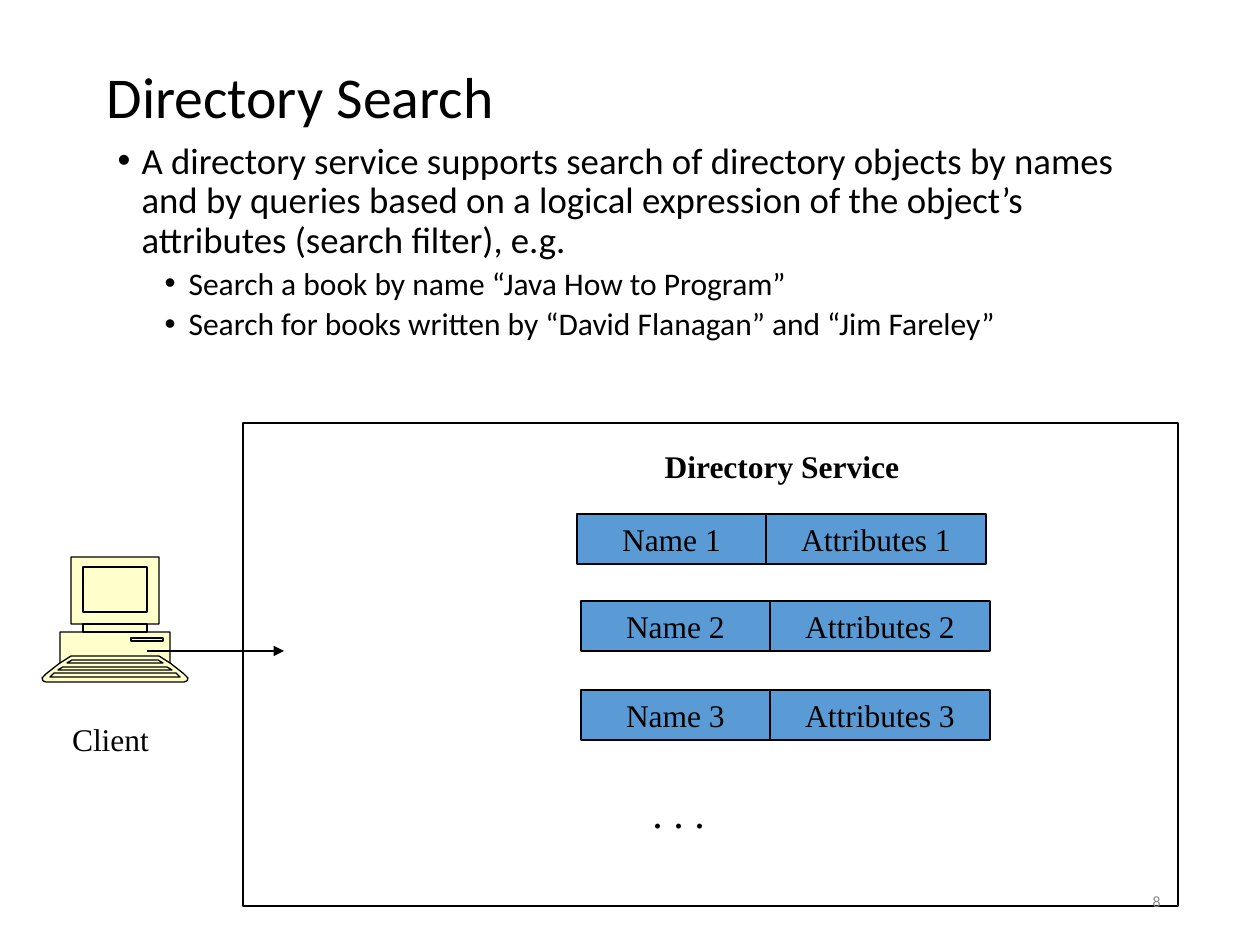
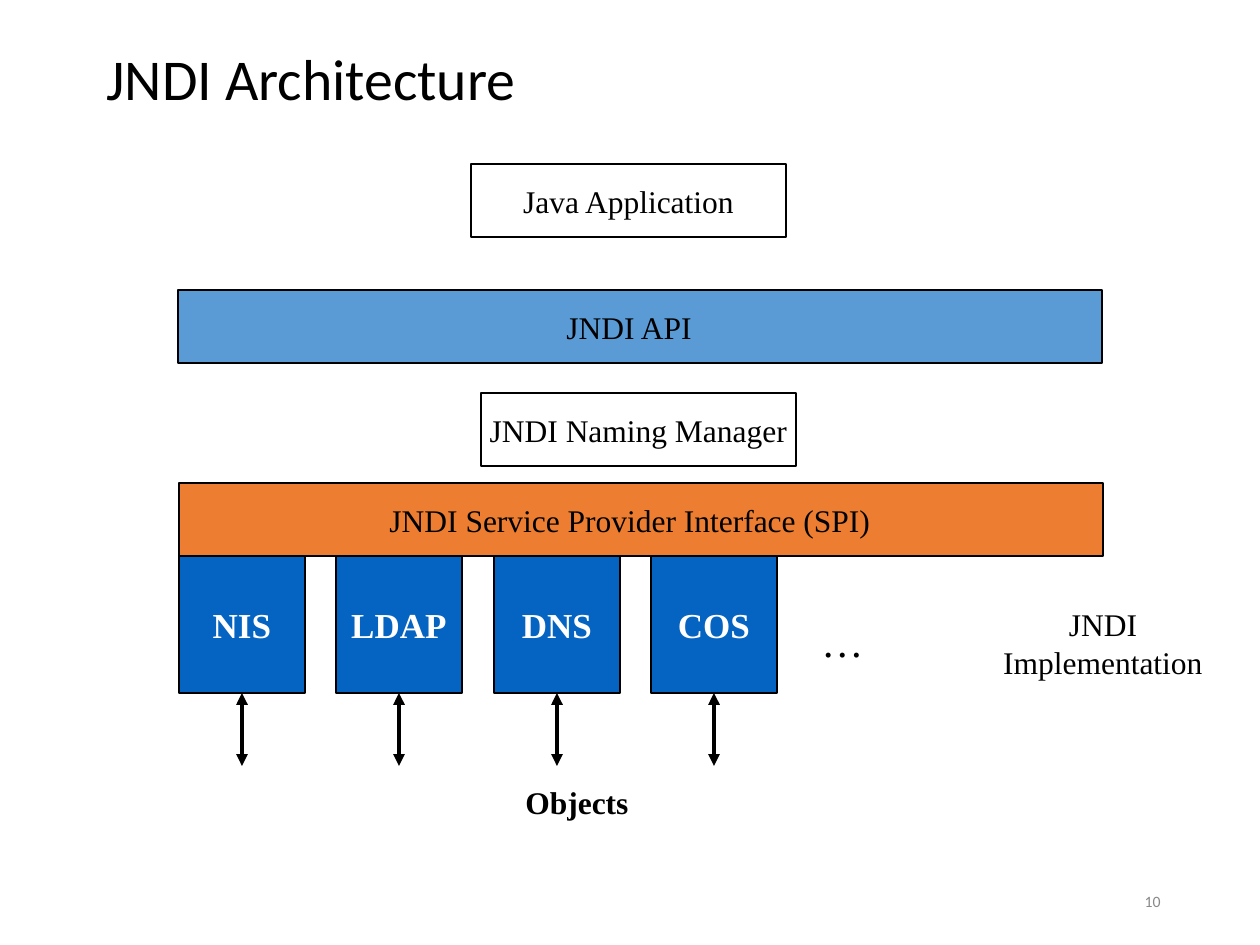
import lxml.etree
import pptx
import pptx.dml.color
import pptx.enum.shapes
import pptx.enum.text
import pptx.oxml.ns
import pptx.util

EMU_PER_PX = 914400 / 126
BLACK, WHITE, GREY = "000000", "FFFFFF", "898989"
BLUE, DARK_BLUE, ORANGE, CREAM = "5B9BD5", "0563C1", "ED7D31", "FFFFCC"
SANS, SERIF = "Calibri", "Times New Roman"
LEFT, CENTER, RIGHT = (pptx.enum.text.PP_ALIGN.LEFT, pptx.enum.text.PP_ALIGN.CENTER,
                       pptx.enum.text.PP_ALIGN.RIGHT)
TOP, MIDDLE = pptx.enum.text.MSO_ANCHOR.TOP, pptx.enum.text.MSO_ANCHOR.MIDDLE
RECTANGLE = pptx.enum.shapes.MSO_SHAPE.RECTANGLE
CLIENT_AXIS = 115


def px(length):
    """Turn pixels into EMU."""
    return pptx.util.Emu(round(length * EMU_PER_PX))


def rgb(color):
    """Turn a hex string into a colour."""
    return pptx.dml.color.RGBColor.from_string(color)


def format_runs(paragraph, size, font, color=BLACK, bold=False):
    """Set the font of every run in a paragraph."""
    for run in paragraph.runs:
        run.font.size = pptx.util.Pt(size)
        run.font.name = font
        run.font.bold = bold
        run.font.color.rgb = rgb(color)


def write(frame, text, size, font=SERIF, color=BLACK, bold=False, align=CENTER, anchor=TOP):
    """Write one wrapped paragraph into a text frame."""
    frame.text = text
    frame.word_wrap = True
    frame.auto_size = pptx.enum.text.MSO_AUTO_SIZE.NONE
    frame.vertical_anchor = anchor
    paragraph = frame.paragraphs[0]
    paragraph.alignment = align
    format_runs(paragraph, size, font, color, bold)
    return paragraph


def place(shape, left, top, width, height):
    """Move and size a shape."""
    shape.left, shape.top, shape.width, shape.height = map(px, (left, top, width, height))


def paint(shape, fill, line_width=1):
    """Give a shape a flat fill and a black outline."""
    shape.shadow.inherit = False
    shape.fill.solid()
    shape.fill.fore_color.rgb = rgb(fill)
    shape.line.color.rgb = rgb(BLACK)
    shape.line.width = pptx.util.Pt(line_width)


def add_box(slide, bounds, fill, text="", size=18, color=BLACK, bold=False, right_inset=0):
    """Add an outlined rectangle with a centred caption."""
    box = slide.shapes.add_shape(RECTANGLE, *map(px, bounds))
    paint(box, fill)
    if text:
        frame = box.text_frame
        write(frame, text, size, color=color, bold=bold, anchor=MIDDLE)
        frame.margin_left = frame.margin_top = frame.margin_bottom = 0
        frame.margin_right = px(right_inset)
    return box


def add_label(slide, bounds, text, size=18, **style):
    """Add a free-standing caption."""
    label = slide.shapes.add_textbox(*map(px, bounds))
    write(label.text_frame, text, size, **style)


def add_arrow(slide, start, end, width, ends=("tailEnd",)):
    """Add a straight black line with triangular heads."""
    arrow = slide.shapes.add_connector(pptx.enum.shapes.MSO_CONNECTOR.STRAIGHT,
                                       *map(px, start + end))
    arrow.line.color.rgb = rgb(BLACK)
    arrow.line.width = pptx.util.Pt(width)
    outline = arrow.line._get_or_add_ln()
    for end_tag in ends:
        lxml.etree.SubElement(outline, pptx.oxml.ns.qn("a:" + end_tag), type="triangle")
    lxml.etree.SubElement(arrow._element.spPr, pptx.oxml.ns.qn("a:effectLst"))
    return arrow


def add_page(deck, layout_index, title, title_top, number):
    """Add a slide with its title and page number."""
    slide = deck.slides.add_slide(deck.slide_layouts[layout_index])
    place(slide.shapes.title, 94, title_top, 1081, 94)
    heading = write(slide.shapes.title.text_frame, title, 33, SANS, align=LEFT, anchor=MIDDLE)
    heading.line_spacing = 0.9
    add_label(slide, (890, 876, 283, 50), number, 9, font=SANS, color=GREY,
              align=RIGHT, anchor=MIDDLE)
    return slide


def fill_bullets(body, bullets):
    """Write (level, text) bullets into the body placeholder."""
    frame = body.text_frame
    frame.text = "\n".join(text for _, text in bullets)
    frame.auto_size = pptx.enum.text.MSO_AUTO_SIZE.NONE
    frame.vertical_anchor = TOP
    for index, (paragraph, (level, _)) in enumerate(zip(frame.paragraphs, bullets)):
        properties = paragraph._p.get_or_add_pPr()
        properties.set("marL", str(px((24, 71)[level])))
        properties.set("indent", str(px(-24)))
        lxml.etree.SubElement(properties, pptx.oxml.ns.qn("a:buChar"), char="•")
        paragraph.level = level
        paragraph.alignment = LEFT
        paragraph.line_spacing = 0.9
        paragraph.space_before = pptx.util.Pt((7.5, 3.7)[level] if index else 0)
        format_runs(paragraph, (21, 18)[level], SANS)


def add_symmetric_part(slide, left_half, close=True):
    """Draw a computer part from its left half, mirrored on the client axis."""
    right_half = [(2 * CLIENT_AXIS - x, y) for x, y in reversed(left_half)]
    builder = slide.shapes.build_freeform(*left_half[0], scale=EMU_PER_PX)
    builder.add_line_segments(left_half[1:] + right_half, close=close)
    paint(builder.convert_to_shape(), CREAM, 0.75)


def add_client_computer(slide):
    """Draw the client computer: case, screen, neck, keyboard and drive slot."""
    case = [(71, 557), (71, 624), (83, 624), (83, 632), (60, 632), (60, 663),
            (46, 674), (42, 678), (43, 681), (46, 682)]
    screen = [(83, 567), (83, 612)]
    neck = [(83, 624), (83, 632)]
    key_rows = [[(72, 660), (67, 663)], [(63, 667), (58, 670)], [(54, 673), (50, 677)]]
    add_symmetric_part(slide, case)
    add_symmetric_part(slide, [(60, 663), (71, 656)], close=False)
    for part in [screen, neck] + key_rows:
        add_symmetric_part(slide, part)
    paint(slide.shapes.add_shape(RECTANGLE, *map(px, (131, 638, 32, 3))), CREAM, 0.75)


def build_directory_search(deck):
    """Build the slide on searching a directory."""
    slide = add_page(deck, 1, "Directory Search", 53, "8")
    body = slide.placeholders[1]
    place(body, 105, 136, 1071, 305)
    fill_bullets(body, [
        (0, "A directory service supports search of directory objects by names and by queries "
            "based on a logical expression of the object’s attributes (search filter), e.g."),
        (1, "Search a book by name “Java How to Program”"),
        (1, "Search for books written by “David Flanagan” and “Jim Fareley”"),
    ])
    service = add_box(slide, (243, 423, 935, 483), WHITE)
    slide.shapes._spTree.insert(2, service._element)
    add_label(slide, (609, 441, 346, 50), "Directory Service", bold=True)
    for entry, (left, top) in enumerate([(577, 514), (581, 601), (581, 690)], 1):
        add_box(slide, (left, top, 189, 50), BLUE, f"Name {entry}")
        add_box(slide, (left + 189, top, 220, 50), BLUE, f"Attributes {entry}")
    add_label(slide, (640, 780, 126, 63), ". . .", 24, align=LEFT)
    add_client_computer(slide)
    add_arrow(slide, (147, 651), (284, 651), 1)
    add_label(slide, (32, 714, 157, 50), "Client")


def build_jndi_architecture(deck):
    """Build the slide on the layers of JNDI."""
    slide = add_page(deck, 5, "JNDI Architecture", 35, "10")
    layers = [
        ("Java Application", 471, 164, 315, WHITE, 0),
        ("JNDI API", 178, 290, 924, BLUE, 22),
        ("JNDI Naming Manager", 481, 393, 315, WHITE, 0),
        ("JNDI Service Provider Interface (SPI)", 179, 483, 924, ORANGE, 22),
    ]
    for name, left, top, width, fill, right_inset in layers:
        add_box(slide, (left, top, width, 73), fill, name, right_inset=right_inset)
    for index, name in enumerate(["NIS", "LDAP", "DNS", "COS"]):
        left = 179 + index * 315 // 2
        provider = add_box(slide, (left, 556, 126, 137), DARK_BLUE, name, 20, WHITE, True)
        link = add_arrow(slide, (left + 63, 693), (left + 63, 766), 2.25, ("headEnd", "tailEnd"))
        link.begin_connect(provider, 2)
    add_label(slide, (809, 609, 116, 63), "…", 24, align=LEFT)
    add_label(slide, (977, 599, 252, 88), "JNDI Implementation")
    add_label(slide, (451, 777, 252, 50), "Objects", bold=True)


def main():
    """Build and save the deck."""
    deck = pptx.Presentation()
    deck.slide_width, deck.slide_height = px(1260), px(945)
    build_directory_search(deck)
    build_jndi_architecture(deck)
    deck.save("out.pptx")


if __name__ == "__main__":
    main()
